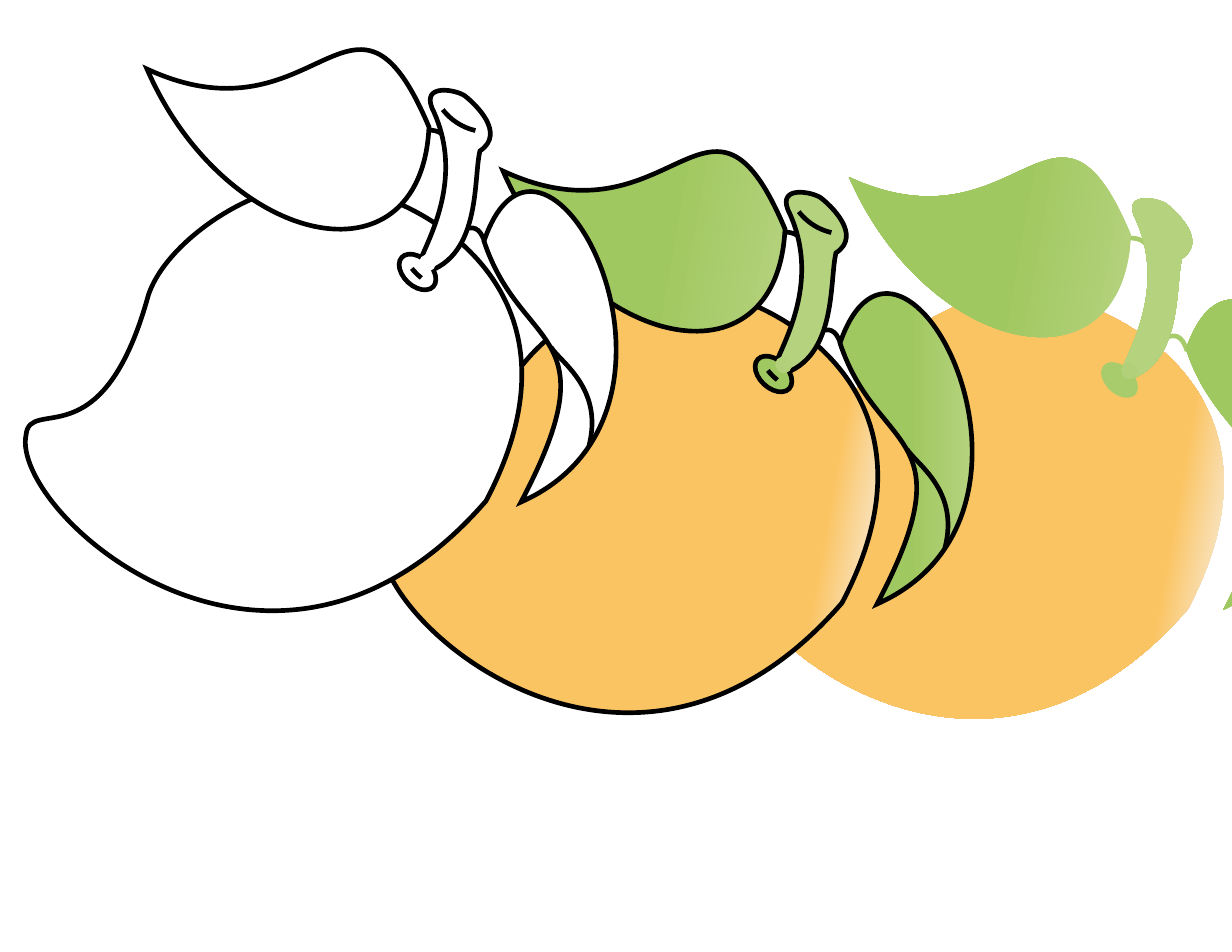
import math
from dataclasses import dataclass

from lxml import etree
from pptx import Presentation
from pptx.dml.color import RGBColor
from pptx.enum.shapes import MSO_SHAPE
from pptx.oxml.ns import qn
from pptx.util import Emu, Pt

OVAL, ARC = MSO_SHAPE.OVAL, MSO_SHAPE.ARC
BLACK = RGBColor(0x00, 0x00, 0x00)
WHITE = RGBColor(0xFF, 0xFF, 0xFF)
ORANGE = RGBColor(0xFB, 0xC4, 0x62)
GLOW = RGBColor(0xF6, 0xF8, 0xFC)
GREEN = RGBColor(0xA0, 0xC8, 0x60)
LIGHT_GREEN = RGBColor(0xB5, 0xD2, 0x7E)
MID_GREEN = RGBColor(0xA8, 0xCC, 0x6B)
DOT_GREEN = RGBColor(0xB2, 0xD0, 0x79)

LEFT_TENDRIL = [(427, 130), (438, 130), (449, 133), (447, 153)]
RIGHT_TENDRIL = [(463, 230), (472, 226), (480, 226), (485, 243)]
FOLD = [(551, 347), (560, 362), (604, 388), (589, 446)]
BODY = [(147, 300), (162, 240), (269, 172), (327, 188), (364, 176), (613, 260), (486, 501),
        (272, 748), (10, 512), (26, 435), (30, 396), (101, 461), (147, 300)]
STEM = [(419, 274), (405, 270), (474, 194), (432, 108), (422, 83), (457, 90), (465, 96),
        (474, 103), (507, 133), (480, 151), (473, 180), (482, 262), (419, 274)]
BIG_LEAF = [(147, 69), (224, 246), (421, 292), (429, 127), (353, -53), (318, 148), (147, 69)]
SIDE_LEAF = [(521, 502), (613, 327), (521, 353), (484, 241), (545, 64), (726, 411), (521, 502)]


def emu(px):
    return Emu(round(px * 914400 / 112))


@dataclass
class Gradient:
    start: RGBColor
    end: RGBColor
    end_position: float
    angle: int


@dataclass
class Palette:
    body: object
    stem: object
    knob: object
    big_leaf: object
    side_leaf: object
    dot: object
    tendril: object
    tendril_line: object
    outline: object
    details: bool


class FruitPainter:
    line_width = Pt(3)

    def __init__(self, slide):
        self.slide = slide
        self.shapes = slide.shapes
        self.offset = (0, 0)

    def start_fruit(self, dx, dy):
        self.shapes = self.slide.shapes.add_group_shape().shapes
        self.offset = (dx, dy)

    def paint(self, shape, fill, line):
        shape.shadow.inherit = False
        if fill is None:
            shape.fill.background()
        elif isinstance(fill, Gradient):
            shape.fill.gradient()
            shape.fill.gradient_angle = 360 - fill.angle
            first, last = shape.fill.gradient_stops
            first.color.rgb, first.position = fill.start, 0
            last.color.rgb, last.position = fill.end, fill.end_position
        else:
            shape.fill.solid()
            shape.fill.fore_color.rgb = fill
        if line is None:
            shape.line.fill.background()
        else:
            shape.line.color.rgb = line
            shape.line.width = self.line_width
            outline = shape._element.spPr.find(qn("a:ln"))
            etree.SubElement(outline, qn("a:miter"), lim="800000")

    def place(self, shape, box, rotation):
        left, top, width, height = box
        shape.left, shape.top = emu(left + self.offset[0]), emu(top + self.offset[1])
        shape.width, shape.height = emu(width), emu(height)
        shape.rotation = rotation

    def curve(self, points, box, rotation=0, fill=None, line=None):
        left, top, width, height = box
        turn = math.radians(-rotation)
        local = []
        for x, y in points:
            x, y = x - left - width / 2, y - top - height / 2
            local.append((emu(x * math.cos(turn) - y * math.sin(turn) + width / 2),
                          emu(x * math.sin(turn) + y * math.cos(turn) + height / 2)))
        closed = points[0] == points[-1]
        builder = self.shapes.build_freeform(*local[0])
        builder.add_line_segments(local[1:], close=closed)
        shape = builder.convert_to_shape()
        self.place(shape, box, rotation)
        path = shape._element.find(".//" + qn("a:path"))
        for step in list(path):
            path.remove(step)
        path.set("w", str(emu(width)))
        path.set("h", str(emu(height)))
        self.path_step(path, "a:moveTo", local[:1])
        for i in range(1, len(local), 3):
            self.path_step(path, "a:cubicBezTo", local[i:i + 3])
        if closed:
            etree.SubElement(path, qn("a:close"))
        self.paint(shape, fill, line)

    def path_step(self, path, tag, points):
        step = etree.SubElement(path, qn(tag))
        for x, y in points:
            etree.SubElement(step, qn("a:pt"), x=str(x), y=str(y))

    def ellipse(self, box, rotation, fill, line=None):
        shape = self.shapes.add_shape(OVAL, 0, 0, 1, 1)
        self.place(shape, box, rotation)
        self.paint(shape, fill, line)

    def arc(self, box, start, end, line):
        shape = self.shapes.add_shape(ARC, 0, 0, 1, 1)
        self.place(shape, box, 289.6)
        shape.adjustments[0], shape.adjustments[1] = start, end
        shape._element.spPr.find(qn("a:xfrm")).set("flipH", "1")
        self.paint(shape, None, line)

    def fruit(self, dx, dy, look):
        self.start_fruit(dx, dy)
        line = look.outline
        self.curve(LEFT_TENDRIL, (423, 133, 29, 12), 34, look.tendril, look.tendril_line)
        self.curve(RIGHT_TENDRIL, (461, 228, 25, 11), 15.2, look.tendril, look.tendril_line)
        self.curve(BODY, (26, 186, 496, 424), 0, look.body, line)
        self.curve(STEM, (380, 97, 115, 169), 37.9, look.stem, line)
        self.ellipse((396, 258, 43, 28), 43, look.knob, line)
        if look.details:
            self.arc((431, 18, 114, 114), 196.257, 4.111, line)
        self.curve(BIG_LEAF, (147, 49, 282, 179), 180, look.big_leaf, line)
        self.curve(SIDE_LEAF, (484, 192, 132, 310), 180, look.side_leaf, line)
        if look.details:
            self.curve(FOLD, (551, 347, 41, 99), line=line)
            self.arc((401, 184, 105, 105), 196.257, 205.089, line)
        self.ellipse((419, 255, 17, 16), 43, look.dot)


def main():
    deck = Presentation()
    deck.slide_width, deck.slide_height = emu(1232), emu(952)
    painter = FruitPainter(deck.slides.add_slide(deck.slide_layouts[6]))

    ripe = dict(body=Gradient(GLOW, ORANGE, 0.15, 190),
                stem=Gradient(GREEN, LIGHT_GREEN, 0.15, 190),
                big_leaf=Gradient(LIGHT_GREEN, GREEN, 0.43, 10),
                side_leaf=Gradient(LIGHT_GREEN, GREEN, 0.46, 0),
                dot=DOT_GREEN, tendril=None)
    parts = ("body", "stem", "knob", "big_leaf", "side_leaf", "dot", "tendril")
    plain = dict.fromkeys(parts, WHITE)

    painter.fruit(702, 108, Palette(**ripe, knob=MID_GREEN, tendril_line=MID_GREEN,
                                    outline=None, details=False))
    painter.fruit(356, 102, Palette(**ripe, knob=GREEN, tendril_line=BLACK,
                                    outline=BLACK, details=True))
    painter.fruit(0, 0, Palette(**plain, tendril_line=BLACK, outline=BLACK, details=True))
    deck.save("out.pptx")


if __name__ == "__main__":
    main()
